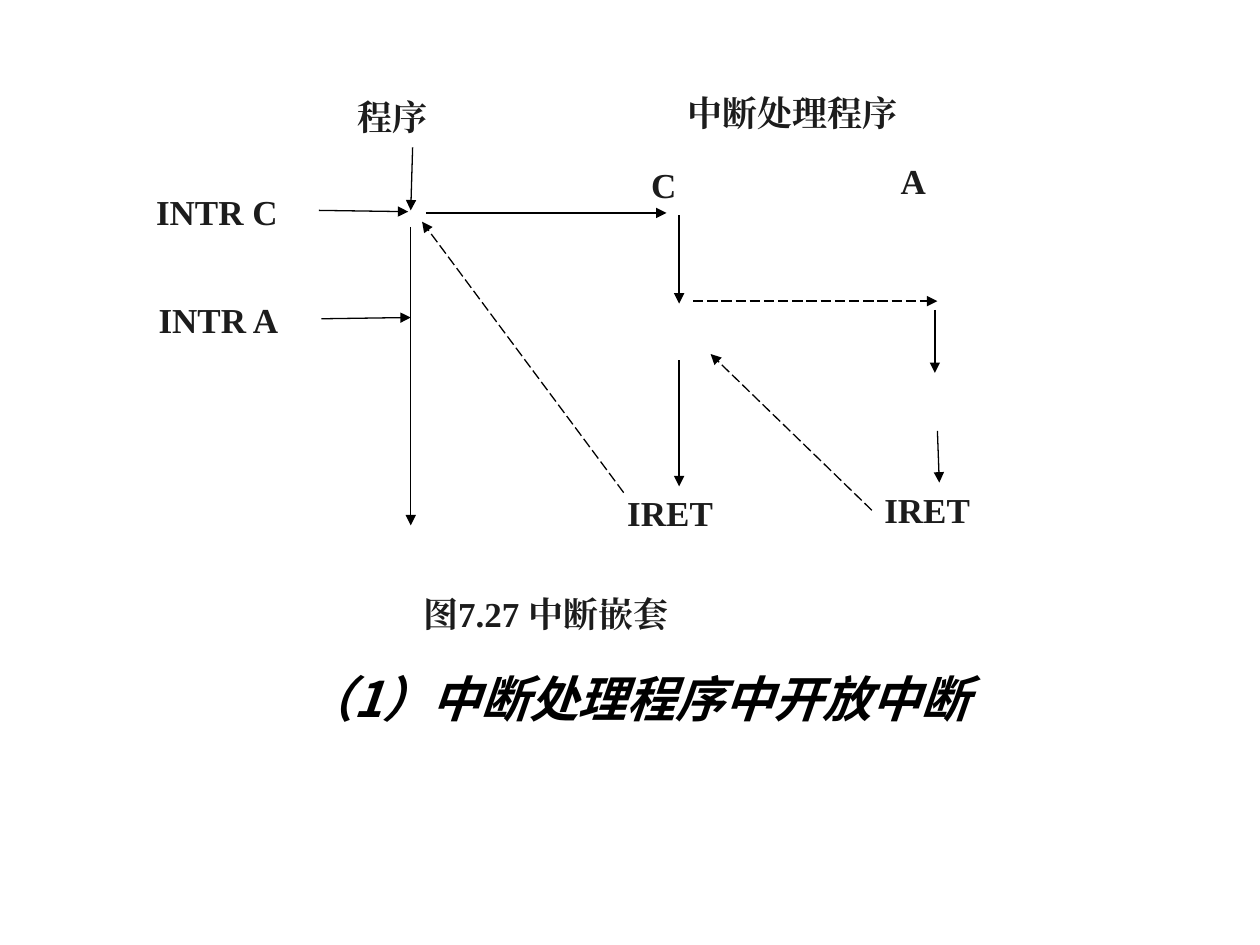
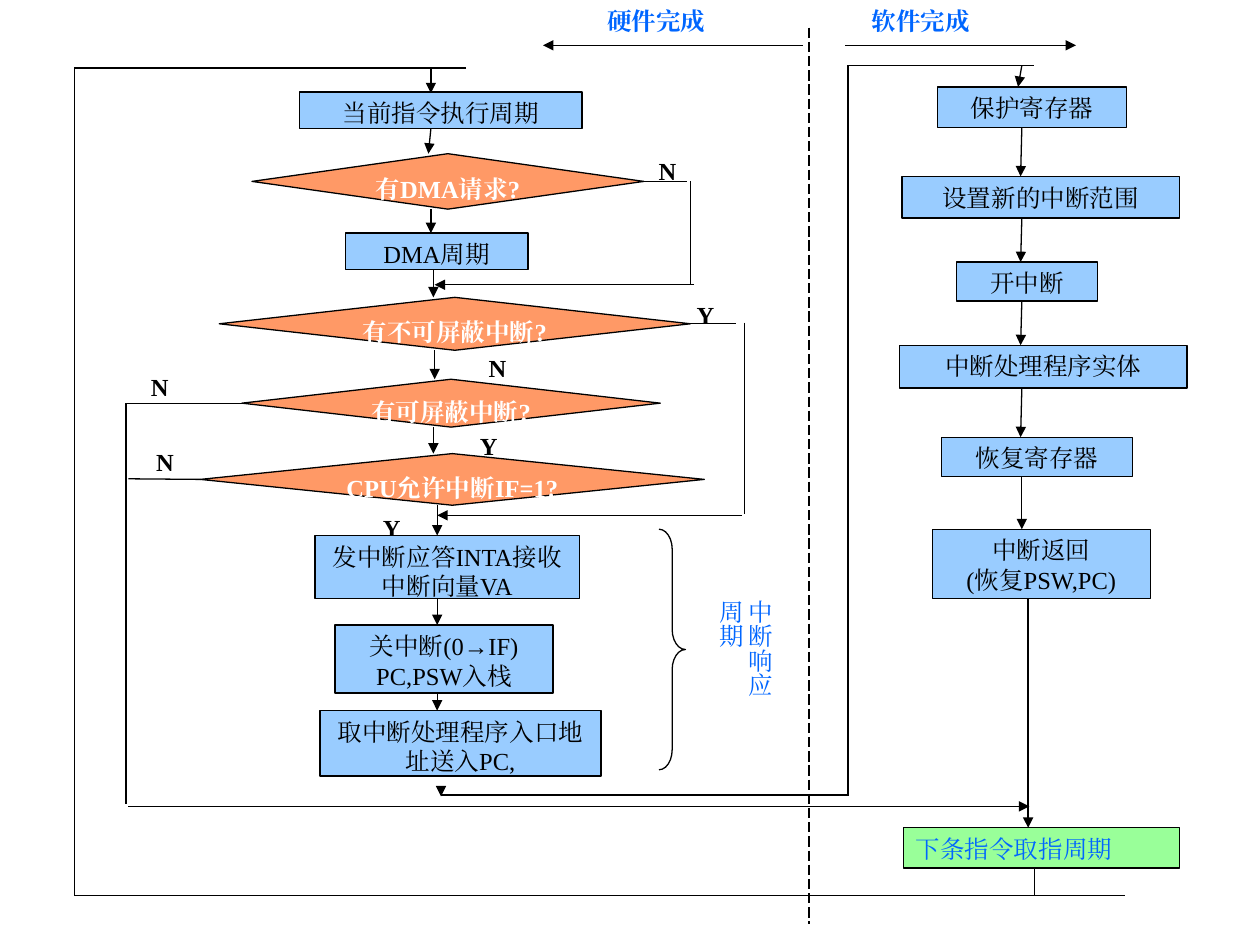
from itertools import pairwise

from lxml.etree import SubElement
from pptx import Presentation
from pptx.dml.color import RGBColor
from pptx.enum.dml import MSO_LINE
from pptx.enum.shapes import MSO_CONNECTOR, MSO_SHAPE
from pptx.enum.text import MSO_ANCHOR, MSO_AUTO_SIZE, PP_ALIGN
from pptx.oxml.ns import qn
from pptx.util import Inches, Pt

CELL = Inches(0.1)
COLUMNS, ROWS = 100, 75
SERIF, SANS = "Times New Roman", "Noto Sans CJK SC"
BLACK = RGBColor(0x00, 0x00, 0x00)
WHITE = RGBColor(0xFF, 0xFF, 0xFF)
INK = RGBColor(0x1C, 0x1C, 0x1C)
SKY = RGBColor(0x99, 0xCC, 0xFF)
ORANGE = RGBColor(0xFF, 0x99, 0x66)
GREEN = RGBColor(0x99, 0xFF, 0x99)
BLUE = RGBColor(0x00, 0x66, 0xFF)
HAIRLINE = Pt(0.75)
JOIN_DISTANCE = 0.2 * CELL


def cells(*values):
    """Turn grid cells into lengths."""
    return [round(value * CELL) for value in values]


def write(frame, text, size, color, bold=False, italic=False, font=SERIF,
          align=PP_ALIGN.JUSTIFY):
    """Write each line of the text as a paragraph with one run."""
    frame.word_wrap = True
    for index, line in enumerate(text.split("\n")):
        paragraph = frame.add_paragraph() if index else frame.paragraphs[0]
        paragraph.alignment = align
        run = paragraph.add_run()
        run.text = line
        run.font.name, run.font.size = font, Pt(size)
        run.font.bold, run.font.italic = bold, italic
        run.font.color.rgb = color
        east_asian = SubElement(run._r.get_or_add_rPr(), qn("a:ea"))
        east_asian.set("typeface", font)


def add_box(slide, text, place, fill=None, line=BLACK, kind=MSO_SHAPE.RECTANGLE,
            size=14, color=BLACK, **style):
    """Add a preset shape with text at its top."""
    shape = slide.shapes.add_shape(kind, *cells(*place))
    shape.shadow.inherit = False
    if fill is None:
        shape.fill.background()
    else:
        shape.fill.solid()
        shape.fill.fore_color.rgb = fill
    shape.line.color.rgb, shape.line.width = line, HAIRLINE
    shape.text_frame.vertical_anchor = MSO_ANCHOR.TOP
    if text:
        write(shape.text_frame, text, size, color, **style)
    return shape


def add_label(slide, text, place, color=BLACK, bold=True):
    """Add a plain text box."""
    box = slide.shapes.add_textbox(*cells(*place))
    write(box.text_frame, text, 14, color, bold)
    return box


def side_middles(shape):
    """List the middles of the sides: top, left, bottom, right."""
    left, top, width, height = shape.left, shape.top, shape.width, shape.height
    middle, center = left + width / 2, top + height / 2
    return [(middle, top), (left, center), (middle, top + height), (left + width, center)]


def join_end(connect, x, y, boxes):
    """Join a connector's end to a box whose side middle it meets."""
    for box in boxes:
        for side, (side_x, side_y) in enumerate(side_middles(box)):
            if max(abs(side_x - x), abs(side_y - y)) <= JOIN_DISTANCE:
                connect(box, side)
                return


def add_line(slide, points, boxes=(), arrow=True, dashed=False):
    """Add a straight line, by default with an arrowhead at its end."""
    begin_x, begin_y, end_x, end_y = cells(*points)
    connector = slide.shapes.add_connector(
        MSO_CONNECTOR.STRAIGHT, begin_x, begin_y, end_x, end_y)
    connector.line.color.rgb, connector.line.width = BLACK, HAIRLINE
    if dashed:
        connector.line.dash_style = MSO_LINE.LONG_DASH
    if arrow:
        SubElement(connector.line._get_or_add_ln(), qn("a:tailEnd")).set("type", "triangle")
    SubElement(connector._element.spPr, qn("a:effectLst"))
    join_end(connector.begin_connect, begin_x, begin_y, boxes)
    join_end(connector.end_connect, end_x, end_y, boxes)


def add_steps(slide, steps, arrow_columns):
    """Stack flow steps and link each to the next with an arrow."""
    boxes = []
    for text, *place in steps:
        decision = text.endswith("?")
        boxes.append(add_box(
            slide, text, place, ORANGE if decision else SKY,
            kind=MSO_SHAPE.FLOWCHART_DECISION if decision else MSO_SHAPE.RECTANGLE,
            color=WHITE if decision else BLACK, bold=decision, align=PP_ALIGN.CENTER))
    for (upper, lower), (begin, end) in zip(pairwise(steps), arrow_columns):
        add_line(slide, (begin, upper[2] + upper[4], end, lower[2]))
    return boxes


def build_nesting(presentation):
    """Draw the nested interrupts with their caption as the title."""
    slide = presentation.slides.add_slide(presentation.slide_layouts[5])
    labels = [
        ("INTR C", 11.4, 14.6, 13.9, 4.2), ("INTR A", 11.6, 23.2, 13.9, 4.2),
        ("程序", 27.4, 7.1, 10.7, 4.6), ("中断处理程序", 53.6, 6.8, 21.3, 4.7),
        ("C", 50.7, 12.5, 6.6, 3.4), ("A", 70.5, 12.2, 6.6, 3.4),
        ("IRET", 48.8, 38.5, 10.7, 4.4), ("IRET", 69.2, 38.3, 10.7, 4.4),
        ("图7.27 中断嵌套", 32.6, 46.5, 30.4, 5.1),
    ]
    boxes = [add_box(slide, text, place, WHITE, WHITE, size=20, color=INK, bold=True)
             for text, *place in labels]
    main, handler_c, handler_a = 32.6, 53.9, 74.4
    for points in [
        (25.3, 16.8, 32.4, 16.8), (25.5, 25.2, main, 25.2),
        (main, 11.7, main, 16.7), (main, 18, main, 41.7),
        (33.8, 16.9, 52.9, 16.9), (handler_c, 17.1, handler_c, 24.1),
        (handler_c, 28.6, handler_c, 38.6),
        (74.2, 24.6, 74.2, 29.6), (handler_a, 34.2, handler_a, 38.3),
    ]:
        add_line(slide, points, boxes)
    for points in [(55, 23.9, handler_a, 23.9), (69.2, 40.5, 56.4, 28.1),
                   (49.5, 39.1, 33.5, 17.6)]:
        add_line(slide, points, boxes, dashed=True)

    title = slide.shapes.title
    title.left, title.top, title.width, title.height = cells(14.6, 52.5, 71.9, 5.7)
    title.text_frame.auto_size = MSO_AUTO_SIZE.NONE
    title.text_frame.vertical_anchor = MSO_ANCHOR.MIDDLE
    write(title.text_frame, "（1）中断处理程序中开放中断", 28, BLACK, True, True,
          SANS, PP_ALIGN.CENTER)


def build_flow(presentation):
    """Draw the interrupt flow, hardware at left and software at right."""
    slide = presentation.slides.add_slide(presentation.slide_layouts[6])
    for text, left, top in [("Y", 29.4, 40.2), ("N", 37.8, 27.5), ("Y", 54.3, 23.3),
                            ("Y", 37.1, 33.7), ("N", 51.3, 11.9)]:
        add_box(slide, text, (left, top, 5.7, 2.4), line=WHITE, bold=True)

    hardware = [
        ("当前指令执行周期", 23.8, 7.3, 22.4, 2.9),
        ("有DMA请求?", 20, 12.2, 31.1, 4.4),
        ("DMA周期", 27.4, 18.5, 14.5, 2.9),
        ("有不可屏蔽中断?", 17.4, 23.6, 37.4, 4.2),
        ("有可屏蔽中断?", 19.2, 30.1, 33.2, 3.8),
        ("CPU允许中断IF=1?", 15.9, 36, 40, 4.1),
        ("发中断应答INTA接收中断向量VA", 25, 42.5, 21, 5),
        ("关中断(0→IF)\nPC,PSW入栈", 26.6, 49.6, 17.3, 5.4),
        ("取中断处理程序入口地址送入PC,", 25.4, 56.4, 22.3, 5.2),
    ]
    software = [
        ("保护寄存器", 74.4, 6.9, 15, 3.2),
        ("设置新的中断范围", 71.6, 14, 22, 3.3),
        ("开中断", 75.9, 20.8, 11.2, 3.1),
        ("中断处理程序实体", 71.4, 27.4, 22.8, 3.4),
        ("恢复寄存器", 74.7, 34.7, 15.2, 3.1),
        ("中断返回\n(恢复PSW,PC)", 74, 42, 17.3, 5.5),
    ]
    boxes = add_steps(slide, hardware, [
        (34.2, 34), (34.2, 34.2), (34.4, 34.4), (34.5, 34.5),
        (34.4, 34.4), (34.7, 34.7), (34.7, 34.7), (34.7, 34.7)])
    boxes += add_steps(slide, software, [(81.1, 81)] * 4 + [(81.1, 81.1)])
    boxes.append(add_box(slide, "下条指令取指周期", (71.7, 65.7, 21.9, 3.2), GREEN, color=BLUE))

    for points in [
        (34.2, 5.4, 34.2, 7.4), (58.9, 40.9, 34.7, 40.9), (55.1, 22.6, 34.5, 22.6),
        (35, 62.5, 35, 63.2), (81.1, 5.2, 80.8, 6.9), (81.6, 47.5, 81.6, 65.7),
        (10.2, 64, 81.7, 64), (67.1, 3.6, 85.4, 3.6), (63.7, 3.6, 43.1, 3.6),
    ]:
        add_line(slide, points, boxes)
    for points in [
        (54.8, 25.7, 58.4, 25.7), (59.1, 25.6, 59.1, 40.8),
        (51.1, 14.4, 54.5, 14.4), (54.8, 14.4, 54.8, 22.5),
        (35, 63.1, 67.4, 63.1), (67.3, 63.1, 67.3, 5.2), (67.3, 5.2, 82.1, 5.2),
        (19.2, 32, 10, 32), (10, 32, 10, 63.8), (15.9, 38, 10.2, 38),
        (37, 5.4, 5.9, 5.4), (5.9, 5.4, 5.9, 71.1), (5.9, 71.1, 89.3, 71.1),
        (82.1, 71.1, 82.1, 69),
    ]:
        add_line(slide, points, boxes, arrow=False)
    add_line(slide, (64.2, 2.2, 64.2, 73.3), arrow=False, dashed=True)

    brace = add_box(slide, "", (52.3, 42, 2.1, 19.1), kind=MSO_SHAPE.RIGHT_BRACE)
    brace.adjustments[0] = 0.76
    response = add_label(slide, "中断响应\n周期", (55.9, 46.6, 6.1, 9.9), BLUE, False)
    response.text_frame._txBody.bodyPr.set("vert", "eaVert")
    for text, left in [("硬件完成", 47.2), ("软件完成", 68.2)]:
        add_label(slide, text, (left, 0, 13.7, 2.7), BLUE)
    for left, top in [(11, 29), (11.4, 35)]:
        add_label(slide, "N", (left, top, 5.7, 2.4))


def main():
    """Build and save the presentation."""
    presentation = Presentation()
    presentation.slide_width, presentation.slide_height = cells(COLUMNS, ROWS)
    build_nesting(presentation)
    build_flow(presentation)
    presentation.save("out.pptx")


if __name__ == "__main__":
    main()
